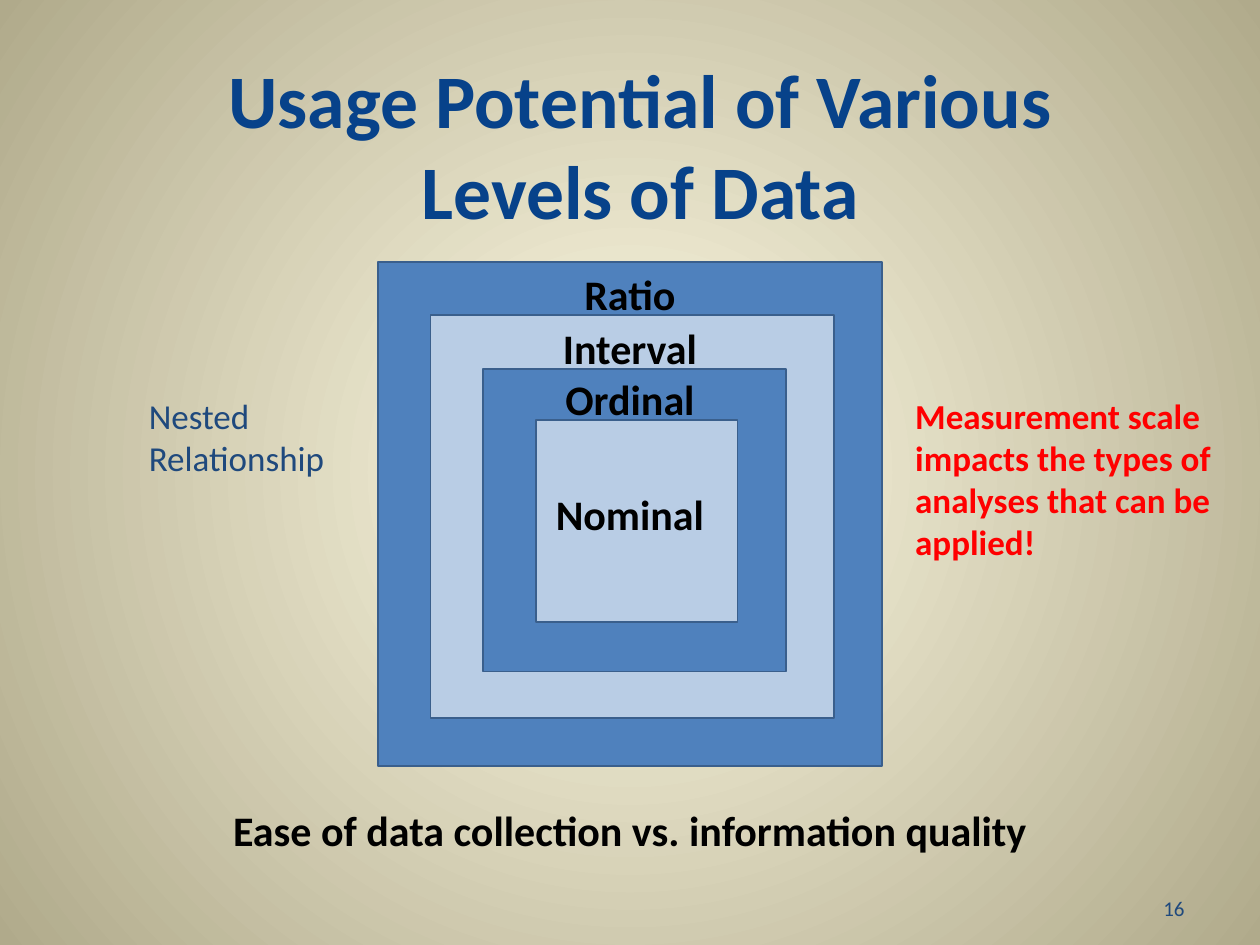
from lxml.etree import SubElement
from pptx import Presentation
from pptx.dml.color import RGBColor
from pptx.enum.shapes import MSO_SHAPE
from pptx.enum.text import MSO_ANCHOR, MSO_AUTO_SIZE, PP_ALIGN
from pptx.oxml.ns import qn
from pptx.util import Cm, Pt

CREAM = RGBColor(0xFF, 0xFB, 0xE5)
KHAKI = RGBColor(0xB0, 0xAA, 0x8B)
TITLE_BLUE = RGBColor(0x07, 0x42, 0x8A)
NAVY = RGBColor(0x1F, 0x49, 0x7D)
BLUE = RGBColor(0x4F, 0x81, 0xBD)
PALE_BLUE = RGBColor(0xB9, 0xCD, 0xE5)
OUTLINE = RGBColor(0x3A, 0x5F, 0x8C)
BLACK = RGBColor(0, 0, 0)
RED = RGBColor(0xFF, 0, 0)


def format_text(text_frame, text, size, color, bold, alignment, anchor=MSO_ANCHOR.TOP):
    frame_format = {"word_wrap": True, "auto_size": MSO_AUTO_SIZE.NONE,
                    "vertical_anchor": anchor, "text": text}
    for name, value in frame_format.items():
        setattr(text_frame, name, value)
    paragraph = text_frame.paragraphs[0]
    paragraph.alignment = alignment
    for run in paragraph.runs:
        for name, value in {"name": "Calibri", "size": Pt(size), "bold": bold}.items():
            setattr(run.font, name, value)
        run.font.color.rgb = color


def add_text(slide, left, top, width, height, *text_format):
    shape = slide.shapes.add_textbox(Cm(left), Cm(top), Cm(width), Cm(height))
    format_text(shape.text_frame, *text_format)


presentation = Presentation()
presentation.slide_width, presentation.slide_height = Cm(25.4), Cm(19.05)
slide = presentation.slides.add_slide(presentation.slide_layouts[5])

# Background: radial gradient from the centre outwards
fill = slide.background.fill
fill.gradient()
for stop, position, color in zip(fill.gradient_stops, (0, 1), (CREAM, KHAKI)):
    stop.position = position
    stop.color.rgb = color
gradient = slide.background._cSld.find(".//" + qn("a:gradFill"))
gradient.remove(gradient.find(qn("a:lin")))
gradient_path = SubElement(gradient, qn("a:path"), {"path": "circle"})
SubElement(gradient_path, qn("a:fillToRect"), dict.fromkeys("ltrb", "50000"))

# Title
title = slide.shapes.title
title_place = {"left": 0.84, "top": 2.51, "width": 24.13, "height": 2.34}
for name, value in title_place.items():
    setattr(title, name, Cm(value))
format_text(title.text_frame, "Usage Potential of Various\vLevels of Data",
            43.2, TITLE_BLUE, True, PP_ALIGN.CENTER, MSO_ANCHOR.BOTTOM)

# Nested squares, outermost first
for level, top in enumerate((5.29, 6.35, 7.44, 8.47)):
    side = Cm(10.16 - 2.03 * level)
    square = slide.shapes.add_shape(
        MSO_SHAPE.RECTANGLE, Cm(7.62 + 1.06 * level), Cm(top), side, side)
    square.shadow.inherit = False
    square.fill.solid()
    square.fill.fore_color.rgb = PALE_BLUE if level % 2 else BLUE
    square.line.color.rgb = OUTLINE
    square.line.width = Pt(1)

# Names of the levels
for label, top in (("Ratio", 5.29), ("Interval", 6.37), ("Ordinal", 7.4), ("Nominal", 9.73)):
    add_text(slide, 10.16, top, 5.08, 1.27, label, 24, BLACK, True, PP_ALIGN.CENTER)

# Notes around the squares
add_text(slide, 18.2, 7.83, 6.77, 3.68,
         "Measurement scale impacts the types of analyses that can be applied!",
         20, RED, True, PP_ALIGN.LEFT)
add_text(slide, 3.81, 16.09, 17.78, 1.27,
         "Ease of data collection vs. information quality",
         24, BLACK, True, PP_ALIGN.CENTER)
add_text(slide, 2.75, 7.83, 4.66, 1.96, "Nested Relationship", 20, NAVY, False, PP_ALIGN.LEFT)

# Slide number
add_text(slide, 18.2, 17.36, 5.93, 1.32, "16", 12, NAVY, False,
         PP_ALIGN.RIGHT, MSO_ANCHOR.BOTTOM)

presentation.save("out.pptx")
